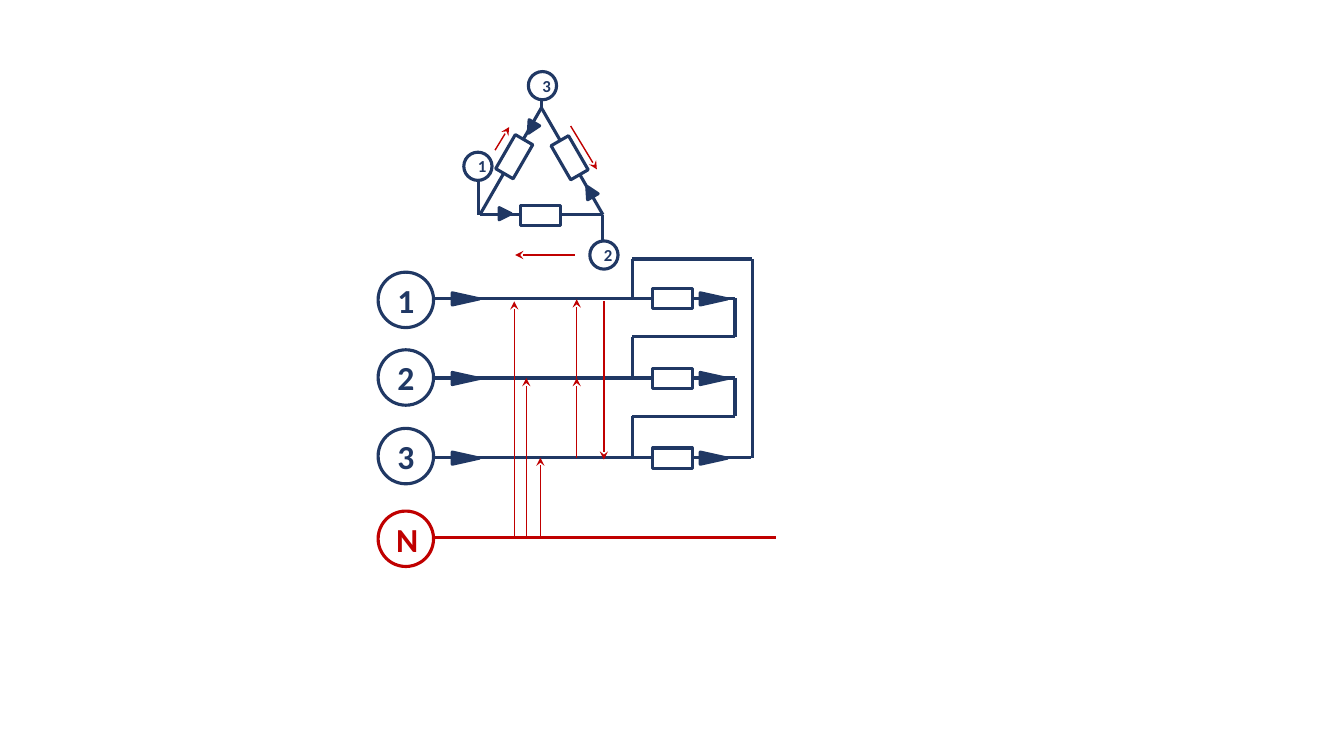
from lxml.etree import SubElement
from pptx import Presentation
from pptx.dml.color import RGBColor
from pptx.enum.shapes import MSO_CONNECTOR, MSO_SHAPE
from pptx.enum.text import MSO_ANCHOR, PP_ALIGN
from pptx.oxml.ns import qn
from pptx.util import Emu, Pt

EMU_PER_PX = 9144  # 100 px to the inch
COLORS = {"phase": "203864", "voltage": "C00000", "paper": "FFFFFF"}
LABEL_FONT = {"name": "Calibri", "bold": True}

# label, height of the wire, top of the terminal circle, right end of the wire
PHASES = [("1", 296, 270, 729), ("2", 375, 347, 729), ("3", 454, 425, 745)]
NEUTRAL_Y = 533
BRANCH_X = 627
RETURN_X = 746
RETURN_Y = 257
RETURN_DROP = 38


def px(length):
    return Emu(length * EMU_PER_PX)


def rgb(name):
    return RGBColor.from_string(COLORS[name])


def add_wire(shapes, start, end, color="phase", width=2.25):
    wire = shapes.add_connector(
        MSO_CONNECTOR.STRAIGHT, *(px(value) for value in (*start, *end))
    )
    wire.line.color.rgb = rgb(color)
    wire.line.width = Pt(width)
    SubElement(wire._element.spPr, qn("a:effectLst"))
    return wire


def add_voltage(shapes, start, end):
    """Thin red arrow that points from start to end."""
    arrow = add_wire(shapes, start, end, "voltage", 1)
    SubElement(arrow.line._get_or_add_ln(), qn("a:tailEnd"), type="stealth")


def add_path(shapes, *corners):
    for start, end in zip(corners, corners[1:]):
        add_wire(shapes, start, end)


def add_outlined(shapes, preset, box, fill, color="phase"):
    shape = shapes.add_shape(preset, *(px(value) for value in box))
    shape.shadow.inherit = False
    shape.fill.solid()
    shape.fill.fore_color.rgb = rgb(fill)
    shape.line.color.rgb = rgb(color)
    shape.line.width = Pt(2.25)
    return shape


def add_resistor(shapes, x, y, angle=90):
    """Resistor centred on x, y; upright at angle 0."""
    box = (x - 10, y - 19, 20, 39)
    add_outlined(shapes, MSO_SHAPE.RECTANGLE, box, "paper").rotation = angle


def add_current(shapes, x, y, angle=90, length=27):
    """Solid current arrowhead centred on x, y; upright at angle 0."""
    box = (x - 6, y - length // 2, 12, length)
    head = add_outlined(shapes, MSO_SHAPE.ISOSCELES_TRIANGLE, box, "phase")
    head.rotation = angle


def add_terminal(shapes, label, left, top, diameter, size, color="phase"):
    box = (left, top, diameter, diameter)
    terminal = add_outlined(shapes, MSO_SHAPE.OVAL, box, "paper", color)
    frame = terminal.text_frame
    frame.vertical_anchor = MSO_ANCHOR.MIDDLE
    paragraph = frame.paragraphs[0]
    paragraph.alignment = PP_ALIGN.CENTER
    run = paragraph.add_run()
    run.text = label
    for attribute, value in {**LABEL_FONT, "size": Pt(size)}.items():
        setattr(run.font, attribute, value)
    run.font.color.rgb = rgb(color)


def draw_line_diagram(shapes):
    first_y, second_y, third_y = (y for _, y, _, _ in PHASES)

    for label, y, circle_top, wire_end in PHASES:
        add_wire(shapes, (430, y), (wire_end, y))
        add_terminal(shapes, label, 375, circle_top, 55, 24)
        add_current(shapes, 462, y)
        add_resistor(shapes, 667, y)
        add_current(shapes, 708, y)
    add_wire(shapes, (430, NEUTRAL_Y), (770, NEUTRAL_Y), "voltage")
    add_terminal(shapes, "N", 375, 507, 55, 24, "voltage")

    for (_, y, _, wire_end), next_y in zip(PHASES, (second_y, third_y)):
        return_y = y + RETURN_DROP
        add_path(shapes, (wire_end, y), (wire_end, return_y),
                 (BRANCH_X, return_y), (BRANCH_X, next_y))
    add_path(shapes, (BRANCH_X, first_y), (BRANCH_X, RETURN_Y),
             (RETURN_X, RETURN_Y), (RETURN_X, third_y))

    for x, start_y, end_y in [
        (510, NEUTRAL_Y, first_y + 3),
        (522, NEUTRAL_Y, second_y),
        (536, NEUTRAL_Y, third_y),
        (572, second_y, first_y + 1),
        (572, third_y, second_y),
        (599, first_y + 3, third_y + 2),
    ]:
        add_voltage(shapes, (x, start_y), (x, end_y))


def draw_delta(shapes):
    left, right, apex = (476, 213), (598, 213), (537, 107)
    add_path(shapes, apex, left, right, apex)
    for corner, terminal_center in [
        (left, (475, 166)), (right, (598, 247)), (apex, (537, 87)),
    ]:
        add_wire(shapes, terminal_center, (terminal_center[0], corner[1]))

    for x, y, angle in [(510, 155, 30), (565, 156, 330), (536, 213, 90)]:
        add_resistor(shapes, x, y, angle)
    for x, y, angle in [(501, 212, 90), (585, 190, 330), (527, 127, 210)]:
        add_current(shapes, x, y, angle, length=12)
    for label, x, y in [("1", 460, 151), ("2", 585, 239), ("3", 524, 71)]:
        add_terminal(shapes, label, x, y, 28, 12)
    for start, end in [
        ((570, 253), (511, 253)),
        ((566, 125), (592, 168)),
        ((491, 149), (505, 126)),
    ]:
        add_voltage(shapes, start, end)


def main():
    presentation = Presentation()
    presentation.slide_width = px(1333)
    presentation.slide_height = px(750)
    slide = presentation.slides.add_slide(presentation.slide_layouts[6])
    draw_line_diagram(slide.shapes)
    draw_delta(slide.shapes)
    presentation.save("out.pptx")


if __name__ == "__main__":
    main()
